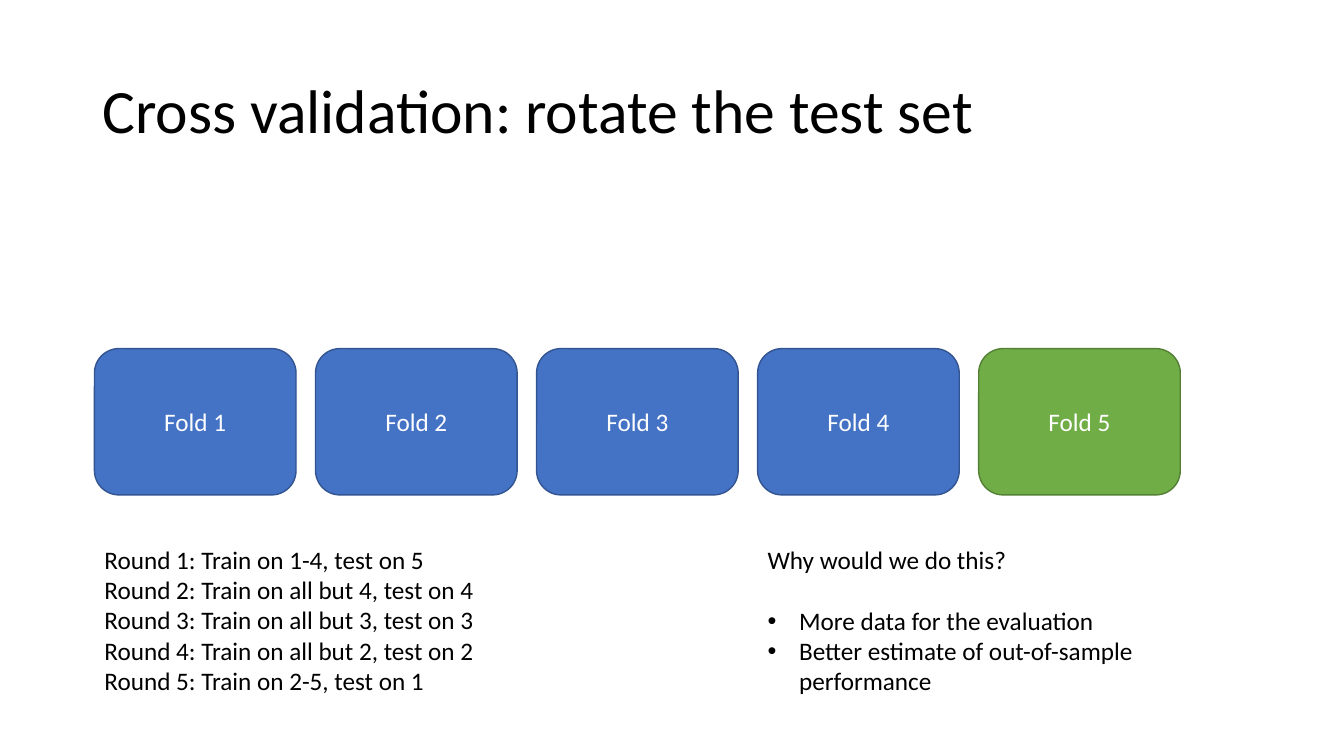
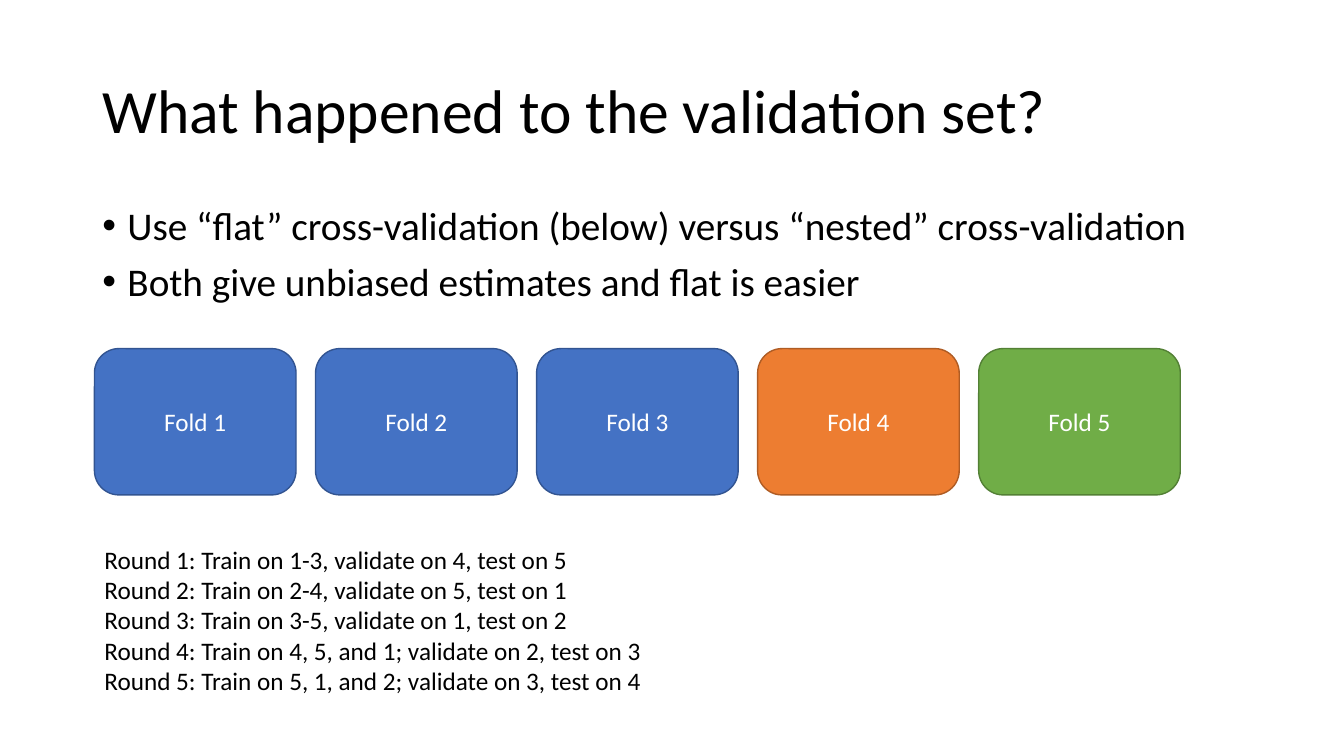
import pptx
import pptx.dml.color
import pptx.enum.shapes
import pptx.enum.text
import pptx.oxml
import pptx.util

Pt = pptx.util.Pt
RGBColor = pptx.dml.color.RGBColor
ANCHOR = pptx.enum.text.MSO_ANCHOR
ALIGN = pptx.enum.text.PP_ALIGN
AUTO_SIZE = pptx.enum.text.MSO_AUTO_SIZE

FONT = "Calibri"
BLACK = RGBColor(0x00, 0x00, 0x00)
WHITE = RGBColor(0xFF, 0xFF, 0xFF)
# Each role of a fold has a fill and an outline colour.
TRAIN = (RGBColor(0x44, 0x72, 0xC4), RGBColor(0x32, 0x54, 0x91))
VALIDATE = (RGBColor(0xED, 0x7D, 0x31), RGBColor(0xAF, 0x5C, 0x24))
TEST = (RGBColor(0x70, 0xAD, 0x47), RGBColor(0x53, 0x80, 0x35))

TITLE_BOX = (66, 28.75, 828, 104.4)
BULLETS_BOX = (66, 143.75, 828, 342.6)
FOLD_LEFT, FOLD_TOP, FOLD_PITCH = 67.5, 249, 157.9
FOLD_WIDTH, FOLD_HEIGHT = 144, 104.5
NOTES_TOP, NOTES_HEIGHT = 385.2, 116.6
BLANK_LINE = 22


def style_runs(p, size, color=BLACK):
    """Set the font of every run in a paragraph."""
    for r in p.runs:
        r.font.name = FONT
        r.font.size = Pt(size)
        r.font.color.rgb = color


def add_bullet(p, indent):
    """Give a paragraph a round bullet with a hanging indent in points."""
    pPr = p._p.get_or_add_pPr()
    pPr.set("marL", str(Pt(indent)))
    pPr.set("indent", str(-Pt(indent)))
    ns = pptx.oxml.ns.qn
    font = pPr.makeelement(ns("a:buFont"), {"typeface": "Arial"})
    char = pPr.makeelement(ns("a:buChar"), {"char": "\u2022"})
    pPr.extend([font, char])


def add_text(slide, box, lines, size, wrap=True):
    """Add a text box with one paragraph per line and return its frame."""
    tf = slide.shapes.add_textbox(*map(Pt, box)).text_frame
    tf.word_wrap = wrap
    tf.text = "\n".join(lines)
    for p in tf.paragraphs:
        style_runs(p, size)
    return tf


def add_title(slide, title):
    """Add the slide title."""
    tf = add_text(slide, TITLE_BOX, [title], 44)
    tf.vertical_anchor = ANCHOR.MIDDLE
    tf.paragraphs[0].line_spacing = 0.9


def add_bullets(slide, lines):
    """Add the large bullet list below the title."""
    tf = add_text(slide, BULLETS_BOX, lines, 28)
    for p in tf.paragraphs:
        p.line_spacing = 0.9
        p.space_before = Pt(10)
        add_bullet(p, 18)


def add_folds(slide, roles):
    """Add the row of numbered folds, coloured by role."""
    for i, (fill, outline) in enumerate(roles):
        s = slide.shapes.add_shape(
            pptx.enum.shapes.MSO_SHAPE.ROUNDED_RECTANGLE,
            Pt(FOLD_LEFT + i * FOLD_PITCH), Pt(FOLD_TOP),
            Pt(FOLD_WIDTH), Pt(FOLD_HEIGHT))
        s.shadow.inherit = False
        s.fill.solid()
        s.fill.fore_color.rgb = fill
        s.line.color.rgb = outline
        s.line.width = Pt(1)
        tf = s.text_frame
        tf.text = f"Fold {i + 1}"
        tf.vertical_anchor = ANCHOR.MIDDLE
        p = tf.paragraphs[0]
        p.alignment = ALIGN.CENTER
        style_runs(p, 18, WHITE)


def add_rounds(slide, width, rounds):
    """List the rounds of cross validation under the folds."""
    lines = [f"Round {n}: {text}" for n, text in enumerate(rounds, 1)]
    box = (FOLD_LEFT, NOTES_TOP, width, NOTES_HEIGHT)
    tf = add_text(slide, box, lines, 18, wrap=False)
    tf.auto_size = AUTO_SIZE.SHAPE_TO_FIT_TEXT


def add_reasons(slide, question, reasons):
    """Add a question and its bulleted answers under the fourth fold."""
    box = (FOLD_LEFT + 3 * FOLD_PITCH, NOTES_TOP, 281.5, NOTES_HEIGHT)
    tf = add_text(slide, box, [question, *reasons], 18)
    tf.auto_size = AUTO_SIZE.SHAPE_TO_FIT_TEXT
    tf.paragraphs[0].space_after = Pt(BLANK_LINE)
    for p in tf.paragraphs[1:]:
        add_bullet(p, 22.5)


def add_slide(prs, title, roles):
    """Add a slide with a title and a row of folds."""
    slide = prs.slides.add_slide(prs.slide_layouts[6])
    add_title(slide, title)
    add_folds(slide, roles)
    return slide


def main():
    """Build and save the presentation."""
    prs = pptx.Presentation()
    prs.slide_width, prs.slide_height = Pt(960), Pt(540)

    slide = add_slide(prs, "Cross validation: rotate the test set",
                      [TRAIN] * 4 + [TEST])
    add_rounds(slide, 281.5, [
        "Train on 1-4, test on 5",
        "Train on all but 4, test on 4",
        "Train on all but 3, test on 3",
        "Train on all but 2, test on 2",
        "Train on 2-5, test on 1",
    ])
    add_reasons(slide, "Why would we do this?", [
        "More data for the evaluation",
        "Better estimate of out-of-sample performance",
    ])

    slide = add_slide(prs, "What happened to the validation set?",
                      [TRAIN] * 3 + [VALIDATE, TEST])
    add_bullets(slide, [
        "Use “flat” cross-validation (below) versus “nested” cross-validation",
        "Both give unbiased estimates and flat is easier",
    ])
    add_rounds(slide, 402.5, [
        "Train on 1-3, validate on 4, test on 5",
        "Train on 2-4, validate on 5, test on 1",
        "Train on 3-5, validate on 1, test on 2",
        "Train on 4, 5, and 1; validate on 2, test on 3",
        "Train on 5, 1, and 2; validate on 3, test on 4",
    ])

    prs.save("out.pptx")


main()
